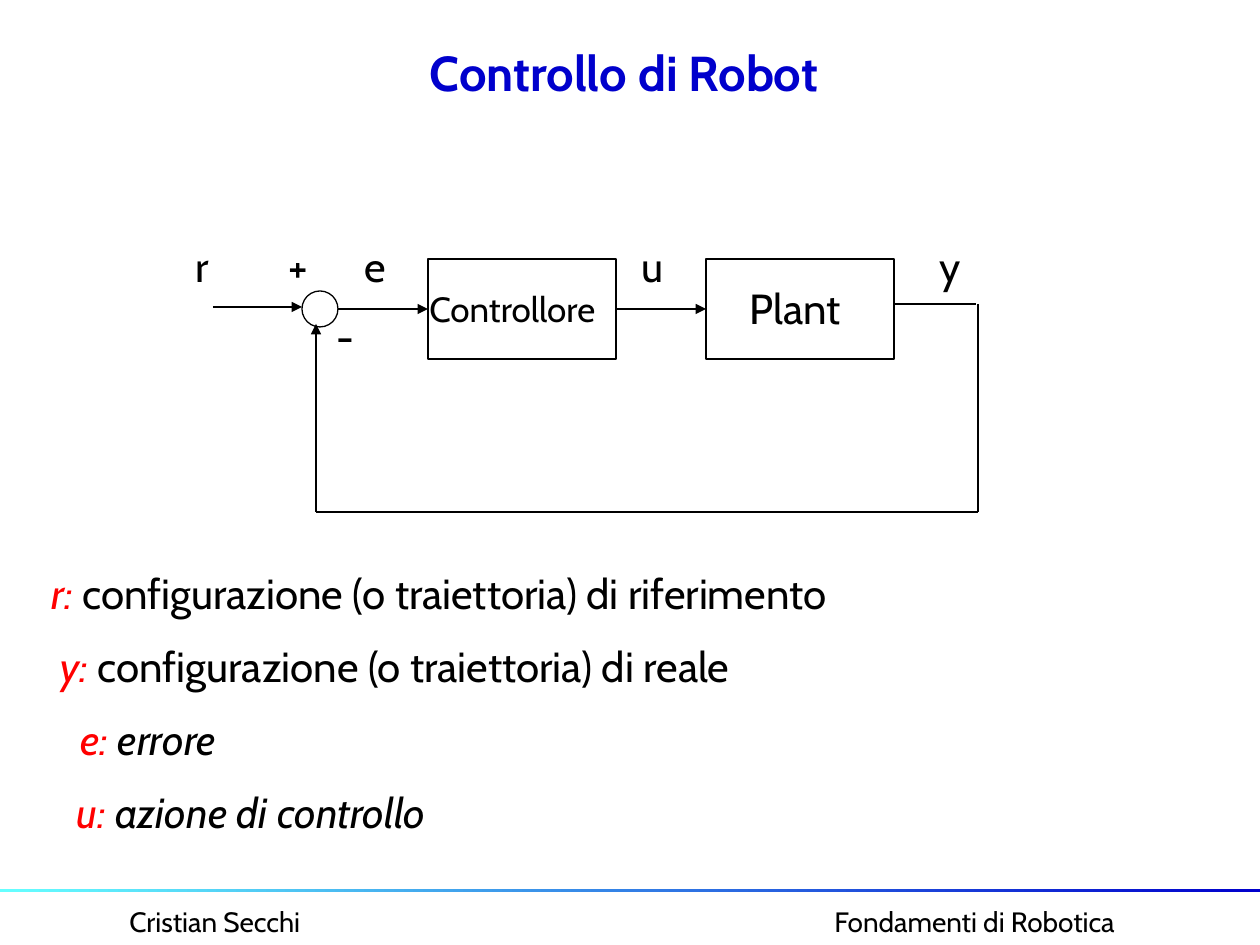
"""Build the robot control loop slide."""
from dataclasses import dataclass

from lxml import etree
from pptx import Presentation
from pptx.dml.color import RGBColor
from pptx.enum.shapes import MSO_CONNECTOR, MSO_SHAPE
from pptx.enum.text import MSO_ANCHOR, PP_ALIGN
from pptx.oxml.ns import qn
from pptx.util import Pt

RECT, OVAL = MSO_SHAPE.RECTANGLE, MSO_SHAPE.OVAL
STRAIGHT = MSO_CONNECTOR.STRAIGHT
MIDDLE = MSO_ANCHOR.MIDDLE
LEFT, CENTER = PP_ALIGN.LEFT, PP_ALIGN.CENTER


@dataclass(frozen=True)
class Theme:
    """Colours, font and type sizes."""
    font: str = "Cabin"
    ink: str = "000000"
    blue: str = "0000CC"
    cyan: str = "66FFFF"
    red: str = "FF0000"
    title: int = 28
    body: int = 24
    block: int = 20
    foot: int = 16
    line: float = 0.75


THEME = Theme()
WIDE, HIGH = 1260, 945
TITLE = "Controllo di Robot"
FOOT = [("Cristian Secchi", 117, 220), ("Fondamenti di Robotica", 822, 320)]
BLOCKS = {
    "Controllore": dict(left=428, text=(417, 281, 212, 55), size=THEME.block),
    "Plant": dict(left=706, text=(737, 276, 126, 63), size=THEME.body),
}
BLOCK_TOP, BLOCK_W, BLOCK_H = 259, 188, 100
SUM = (302, 291, 36, 36)
SIGNALS = [("r", 183, 43), ("+", 276, 49), ("e", 352, 49),
           ("u", 629, 50), ("y", 927, 47)]
SIGNAL_TOP = 234
MINUS = ("-", 324, 304, 39)
LOOP = [(978, 304), (978, 512), (316, 512), (316, 324)]
LEGEND = [
    ("r: ", "configurazione (o traiettoria) di riferimento", False, 39, 911),
    ("y: ", "configurazione (o traiettoria) di reale", False, 48, 790),
    ("e:", " errore", True, 68, 194),
    ("u:", " azione di controllo", True, 64, 427),
]
LEGEND_TOP, LEGEND_STEP, ROW = 561, 73, 63


def emu(px):
    return px * 914400 // 126


def rgb(code):
    return RGBColor.from_string(code)


def label(slide, box, runs, size, bold=False, align=LEFT):
    """Add a one-line text box; each run is (text, colour, italic)."""
    frame = slide.shapes.add_textbox(*map(emu, box)).text_frame
    frame.word_wrap = False
    frame.vertical_anchor = MIDDLE
    line = frame.paragraphs[0]
    line.alignment = align
    for text, color, slant in runs:
        run = line.add_run()
        run.text = text
        font = run.font
        font.name, font.size = THEME.font, Pt(size)
        font.bold, font.italic = bold, slant
        font.color.rgb = rgb(color)


def plain(slide, box, text, size):
    label(slide, box, [(text, THEME.ink, False)], size)


def outline(slide, kind, box):
    shape = slide.shapes.add_shape(kind, *map(emu, box))
    shape.shadow.inherit = False
    shape.fill.background()
    shape.line.color.rgb = rgb(THEME.ink)
    shape.line.width = Pt(THEME.line)
    return shape


def wire(slide, start, end, arrow=False):
    link = slide.shapes.add_connector(STRAIGHT, *map(emu, start + end))
    link.line.color.rgb = rgb(THEME.ink)
    link.line.width = Pt(THEME.line)
    props = link.line._get_or_add_ln()
    if arrow:
        etree.SubElement(props, qn("a:tailEnd"), type="triangle")
    etree.SubElement(link._element.spPr, qn("a:effectLst"))
    return link


def footer(slide):
    bar = slide.shapes.add_shape(RECT, *map(emu, (0, 889, WIDE, 3)))
    bar.shadow.inherit = False
    bar.line.fill.background()
    bar.fill.gradient()
    bar.fill.gradient_angle = 0
    for stop, color in zip(bar.fill.gradient_stops, (THEME.cyan, THEME.blue)):
        stop.color.rgb = rgb(color)
    for text, left, width in FOOT:
        plain(slide, (left, 898, width, 47), text, THEME.foot)


def diagram(slide):
    boxes = []
    for name, block in BLOCKS.items():
        box = (block["left"], BLOCK_TOP, BLOCK_W, BLOCK_H)
        boxes.append(outline(slide, RECT, box))
        plain(slide, block["text"], name, block["size"])
    control, plant = boxes
    outline(slide, OVAL, SUM)

    mid = BLOCK_TOP + BLOCK_H // 2
    edge = SUM[0] + SUM[2]
    wire(slide, (213, 307), (SUM[0], 307), True)
    error = wire(slide, (edge, mid), (428, mid), True)
    error.end_connect(control, 1)
    action = wire(slide, (616, mid), (706, mid), True)
    action.begin_connect(control, 3)
    action.end_connect(plant, 1)
    wire(slide, (894, 304), (976, 304))
    for start, end in zip(LOOP, LOOP[1:]):
        wire(slide, start, end, end == LOOP[-1])

    for text, left, width in SIGNALS:
        plain(slide, (left, SIGNAL_TOP, width, ROW), text, THEME.body)
    text, left, top, width = MINUS
    plain(slide, (left, top, width, ROW), text, THEME.body)


def legend(slide):
    for row, (key, text, slant, left, width) in enumerate(LEGEND):
        box = (left, LEGEND_TOP + row * LEGEND_STEP, width, ROW)
        runs = [(key, THEME.red, True), (text, THEME.ink, slant)]
        label(slide, box, runs, THEME.body)


def main():
    deck = Presentation()
    deck.slide_width, deck.slide_height = emu(WIDE), emu(HIGH)
    slide = deck.slides.add_slide(deck.slide_layouts[6])
    footer(slide)
    label(slide, (57, 38, 1134, 68), [(TITLE, THEME.blue, False)],
          THEME.title, True, CENTER)
    diagram(slide)
    legend(slide)
    deck.save("out.pptx")


if __name__ == "__main__":
    main()
